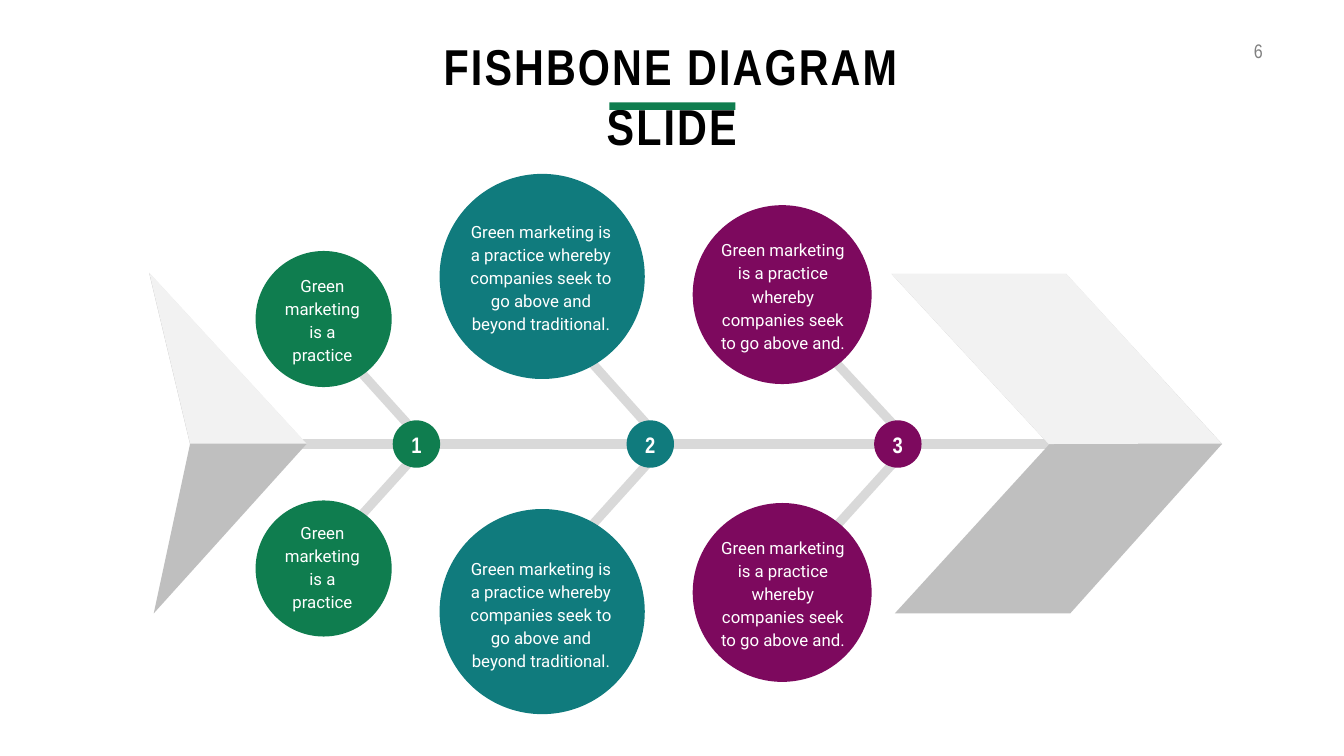
"""Build a fishbone diagram slide with three pairs of causes."""
from dataclasses import dataclass

from lxml.etree import SubElement
from pptx import Presentation
from pptx.dml.color import RGBColor
from pptx.enum.shapes import MSO_CONNECTOR, MSO_SHAPE
from pptx.enum.text import MSO_ANCHOR, PP_ALIGN
from pptx.oxml.ns import qn
from pptx.util import Inches, Pt


@dataclass(frozen=True)
class Theme:
    heading_font: str = "Arial Narrow"
    body_font: str = "Roboto"
    title_size: int = 72
    node_size: int = 32
    page_size: int = 28
    body_size: int = 24
    body_leading: int = 33
    bone_width: int = 13
    black: str = "000000"
    white: str = "FFFFFF"
    page_grey: str = "808080"
    bone_grey: str = "D9D9D9"
    light_grey: str = "F2F2F2"
    dark_grey: str = "BFBFBF"
    green: str = "0F7D4F"
    teal: str = "107B7D"
    purple: str = "7D095E"


@dataclass(frozen=True)
class Cause:
    color: str
    node_left: float
    circle_left: float
    circle_tops: tuple
    diameter: float
    text_left: float
    text_tops: tuple
    text_size: tuple
    ribs: tuple
    text: str


THEME = Theme()
NODE_TOP, NODE_DIAMETER = 8.34, 0.94
SPINE = ((5.29, 8.81), (21.04, 8.81))
CAUSES = [
    Cause(THEME.green, 7.79, 5.07, (4.98, 9.93), 2.7,
          5.27, (5.52, 10.43), (2.25, 1.6),
          (((5.63, 5.69), (8.48, 8.85)), ((5.51, 12.06), (8.42, 8.84))),
          "Green marketing is a practice"),
    Cause(THEME.teal, 12.43, 8.72, (3.45, 10.1), 4.07,
          9.09, (4.22, 10.91), (3.28, 2.52),
          (((10.07, 5.33), (13.19, 8.82)), ((10.04, 12.31), (13.17, 8.84))),
          "Green marketing is a practice whereby companies seek to go above "
          "and beyond traditional."),
    Cause(THEME.purple, 17.34, 13.74, (4.07, 9.98), 3.55,
          13.98, (4.59, 10.49), (3.1, 2.52),
          (((14.94, 5.43), (18.09, 8.82)), ((14.95, 12.25), (18.08, 8.79))),
          "Green marketing is a practice whereby companies seek to go above and."),
]
FINS = [
    (THEME.dark_grey, [(17.75, 12.17), (21.23, 12.17), (24.24, 8.81),
                       (21.15, 5.44), (17.69, 5.44), (20.81, 8.82)]),
    (THEME.dark_grey, [(6.08, 8.81), (2.96, 5.42), (3.77, 8.81), (3.05, 12.17)]),
    (THEME.light_grey, [(24.23, 8.8), (21.15, 5.43), (17.68, 5.43), (20.8, 8.81)]),
    (THEME.light_grey, [(6.08, 8.8), (2.96, 5.41), (3.77, 8.8)]),
]


def paint(sp, color):
    sp.shadow.inherit = False
    sp.fill.solid()
    sp.fill.fore_color.rgb = RGBColor.from_string(color)
    sp.line.fill.background()


def add_solid(s, kind, left, top, width, height, color):
    sp = s.shapes.add_shape(kind, Inches(left), Inches(top), Inches(width), Inches(height))
    paint(sp, color)


def add_fin(s, color, points):
    start, *rest = [(Inches(x), Inches(y)) for x, y in points]
    builder = s.shapes.build_freeform(*start)
    builder.add_line_segments(rest, close=True)
    paint(builder.convert_to_shape(), color)


def add_bone(s, start, end):
    ends = [Inches(value) for value in (*start, *end)]
    sp = s.shapes.add_connector(MSO_CONNECTOR.STRAIGHT, *ends)
    sp.line.color.rgb = RGBColor.from_string(THEME.bone_grey)
    sp.line.width = Pt(THEME.bone_width)
    SubElement(sp._element.spPr, qn("a:effectLst"))


def add_text(s, box, text, font, size, color, bold=False, align=PP_ALIGN.CENTER,
             anchor=MSO_ANCHOR.MIDDLE, wrap=True, spacing=None):
    tf = s.shapes.add_textbox(*[Inches(value) for value in box]).text_frame
    tf.word_wrap = wrap
    tf.vertical_anchor = anchor
    p = tf.paragraphs[0]
    p.alignment = align
    p.font.name, p.font.size, p.font.bold = font, Pt(size), bold
    p.font.color.rgb = RGBColor.from_string(color)
    r = p.add_run()
    r.text = text
    if spacing:
        r.font._element.set("spc", str(spacing * 100))
    return tf


def add_body(s, box, text):
    tf = add_text(s, box, text, THEME.body_font, THEME.body_size, THEME.white)
    tf.margin_left = tf.margin_right = Inches(0.24)
    tf.margin_top = tf.margin_bottom = Inches(0.12)
    p = tf.paragraphs[0]
    p.line_spacing = Pt(THEME.body_leading)
    p.space_before = Pt(THEME.body_size * 0.2)


def add_cause(s, number, cause):
    for top, text_top in zip(cause.circle_tops, cause.text_tops):
        add_solid(s, MSO_SHAPE.OVAL, cause.circle_left, top,
                  cause.diameter, cause.diameter, cause.color)
        add_body(s, (cause.text_left, text_top, *cause.text_size), cause.text)
    add_solid(s, MSO_SHAPE.OVAL, cause.node_left, NODE_TOP,
              NODE_DIAMETER, NODE_DIAMETER, cause.color)
    add_text(s, (cause.node_left + 0.25, 8.5, 0.44, 0.64), str(number),
             THEME.heading_font, THEME.node_size, THEME.white, bold=True, wrap=False)


def add_header(s):
    add_text(s, (24.31, 0.72, 0.84, 0.57), "6", THEME.heading_font, THEME.page_size,
             THEME.page_grey, align=PP_ALIGN.RIGHT, anchor=MSO_ANCHOR.TOP, spacing=3)
    add_text(s, (7.36, 0.64, 11.93, 1.31), "FISHBONE DIAGRAM SLIDE",
             THEME.heading_font, THEME.title_size, THEME.black, bold=True,
             anchor=MSO_ANCHOR.TOP, spacing=3)
    add_solid(s, MSO_SHAPE.RECTANGLE, 12.09, 2.03, 2.5, 0.15, THEME.green)


def main():
    prs = Presentation()
    prs.slide_width, prs.slide_height = Inches(26.66), Inches(15)
    s = prs.slides.add_slide(prs.slide_layouts[6])
    add_bone(s, *SPINE)
    for cause in CAUSES:
        for rib in cause.ribs:
            add_bone(s, *rib)
    for color, points in FINS:
        add_fin(s, color, points)
    for number, cause in enumerate(CAUSES, start=1):
        add_cause(s, number, cause)
    add_header(s)
    prs.save("out.pptx")


if __name__ == "__main__":
    main()
